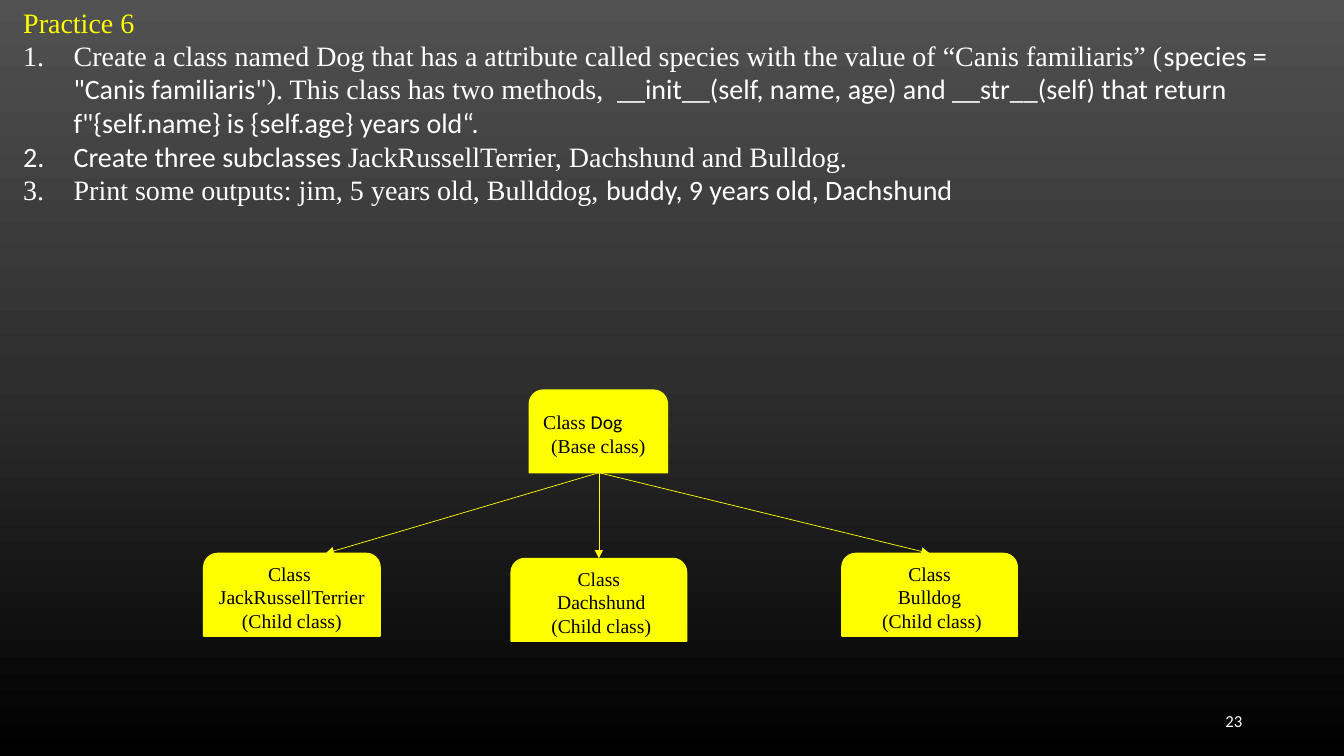
import pptx
import pptx.util
import pptx.dml.color
import pptx.enum.shapes
import pptx.enum.text
import pptx.oxml
import pptx.oxml.ns
from lxml import etree

Inches, Pt = pptx.util.Inches, pptx.util.Pt
qn = pptx.oxml.ns.qn
ALIGN = pptx.enum.text.PP_ALIGN
ANCHOR = pptx.enum.text.MSO_ANCHOR

COLORS = {
    "yellow": "FFFF00",
    "white": "FFFFFF",
    "black": "000000",
    "bg_top": "515151",
    "bg_middle": "2E2E2E",
}
SERIF, SANS = "Times New Roman", "Calibri"

TASKS = [
    [("Create a class named Dog that has a attribute called species with the value of “Canis familiaris” (", SERIF),
     ("species = \"Canis familiaris\"", SANS),
     ("). This class has two methods, ", SERIF),
     (" __init__(self, name, age) and __str__(self) that return f\"{self.name} is {self.age} years old“.", SANS)],
    [("Create three subclasses ", SANS),
     ("JackRussellTerrier, Dachshund and Bulldog.", SERIF)],
    [("Print some outputs: jim, 5 years old, Bullddog, ", SERIF),
     ("buddy, 9 years old, Dachshund", SANS)],
]

# Left, top and width of the box, text lines, and where its arrow ends
CHILDREN = [
    (2.02, 5.49, 1.75, ["Class ", "JackRussellTerrier", "(Child class)"], 3.23),
    (5.07, 5.54, 1.74, ["Class", " Dachshund", " (Child class)"], 5.94),
    (8.35, 5.49, 1.74, ["Class", "Bulldog", " (Child class)"], 9.22),
]
BOX_HEIGHT = 0.82
DOG_LEFT, DOG_TOP, DOG_WIDTH = 5.25, 3.87, 1.37
ARROW_START = (5.94, DOG_TOP + BOX_HEIGHT)


def rgb(name):
    return pptx.dml.color.RGBColor.from_string(COLORS[name])


def add_run(p, text, font=SERIF, size=20, color="white"):
    r = p.add_run()
    r.text = text
    r.font.name = font
    r.font.size = Pt(size)
    r.font.color.rgb = rgb(color)


def place(sp, left, top, width, height):
    sp.left, sp.top = Inches(left), Inches(top)
    sp.width, sp.height = Inches(width), Inches(height)


def paragraph(tf, index):
    return tf.paragraphs[0] if index == 0 else tf.add_paragraph()


def set_background(s):
    """Fill the slide with a three-stop gradient from top to bottom."""
    fill = s.background.fill
    fill.gradient()
    fill.gradient_angle = 270
    stops = s.element.find(".//" + qn("a:gsLst"))
    for stop in list(stops):
        stops.remove(stop)
    for percent, name in ((0, "bg_top"), (50, "bg_middle"), (100, "black")):
        stop = etree.SubElement(stops, qn("a:gs"), pos=str(percent * 1000))
        etree.SubElement(stop, qn("a:srgbClr"), val=COLORS[name])


def prepare_frame(tf, anchor):
    tf.word_wrap = True
    tf.auto_size = pptx.enum.text.MSO_AUTO_SIZE.NONE
    tf.vertical_anchor = anchor


def fill_title(s):
    title = s.shapes.title
    place(title, 0.13, 0, 13, 0.4)
    prepare_frame(title.text_frame, ANCHOR.TOP)
    p = title.text_frame.paragraphs[0]
    p.alignment = ALIGN.LEFT
    add_run(p, "Practice 6", color="yellow")


def fill_tasks(s):
    body = s.placeholders[1]
    place(body, 0.13, 0.33, 13, 3.14)
    tf = body.text_frame
    prepare_frame(tf, ANCHOR.TOP)
    for i, runs in enumerate(TASKS):
        p = paragraph(tf, i)
        p.space_before = Pt(0)
        number_paragraph(p)
        for text, font in runs:
            add_run(p, text, font)


def number_paragraph(p):
    """Give the paragraph a hanging indent and an automatic number."""
    pPr = p._p.get_or_add_pPr()
    pPr.set("marL", str(Inches(0.5)))
    pPr.set("indent", str(Inches(-0.5)))
    etree.SubElement(pPr, qn("a:buFont"), typeface="+mj-lt")
    etree.SubElement(pPr, qn("a:buAutoNum"), type="arabicPeriod")


def add_class_box(s, left, top, width):
    kind = pptx.enum.shapes.MSO_SHAPE.ROUND_2_SAME_RECTANGLE
    sp = s.shapes.add_shape(kind, Inches(left), Inches(top), Inches(width), Inches(BOX_HEIGHT))
    sp.shadow.inherit = False
    sp.fill.solid()
    sp.fill.fore_color.rgb = rgb("yellow")
    sp.line.color.rgb = rgb("yellow")
    sp.line.width = Pt(1)
    prepare_frame(sp.text_frame, ANCHOR.MIDDLE)
    return sp.text_frame


def add_dog_box(s):
    tf = add_class_box(s, DOG_LEFT, DOG_TOP, DOG_WIDTH)
    p = tf.paragraphs[0]
    p.alignment = ALIGN.LEFT
    add_run(p, "Class ", size=14, color="black")
    add_run(p, "Dog", font=SANS, size=14, color="black")
    p = tf.add_paragraph()
    p.alignment = ALIGN.CENTER
    add_run(p, "(Base class)", size=14, color="black")


def add_child_box(s, left, top, width, lines):
    tf = add_class_box(s, left, top, width)
    for i, text in enumerate(lines):
        p = paragraph(tf, i)
        p.alignment = ALIGN.CENTER
        add_run(p, text, size=14, color="black")


def add_arrow(s, start, end):
    kind = pptx.enum.shapes.MSO_CONNECTOR.STRAIGHT
    arrow = s.shapes.add_connector(kind, *map(Inches, start + end))
    arrow.line.color.rgb = rgb("yellow")
    arrow.line.width = Pt(0.5)
    etree.SubElement(arrow.line._get_or_add_ln(), qn("a:tailEnd"), type="triangle")
    etree.SubElement(arrow._element.spPr, qn("a:effectLst"))


def add_slide_number(s):
    sp = s.shapes.add_textbox(Inches(9.42), Inches(6.95), Inches(3), Inches(0.4))
    prepare_frame(sp.text_frame, ANCHOR.MIDDLE)
    p = sp.text_frame.paragraphs[0]
    p.alignment = ALIGN.RIGHT
    add_run(p, "23", font=SANS, size=12)


def main():
    prs = pptx.Presentation()
    prs.slide_width, prs.slide_height = Inches(13.33), Inches(7.5)
    s = prs.slides.add_slide(prs.slide_layouts[1])
    set_background(s)
    fill_title(s)
    fill_tasks(s)
    add_slide_number(s)
    add_dog_box(s)
    for left, top, width, lines, arrow_x in CHILDREN:
        add_child_box(s, left, top, width, lines)
        add_arrow(s, ARROW_START, (arrow_x, top))
    prs.save("out.pptx")


if __name__ == "__main__":
    main()
